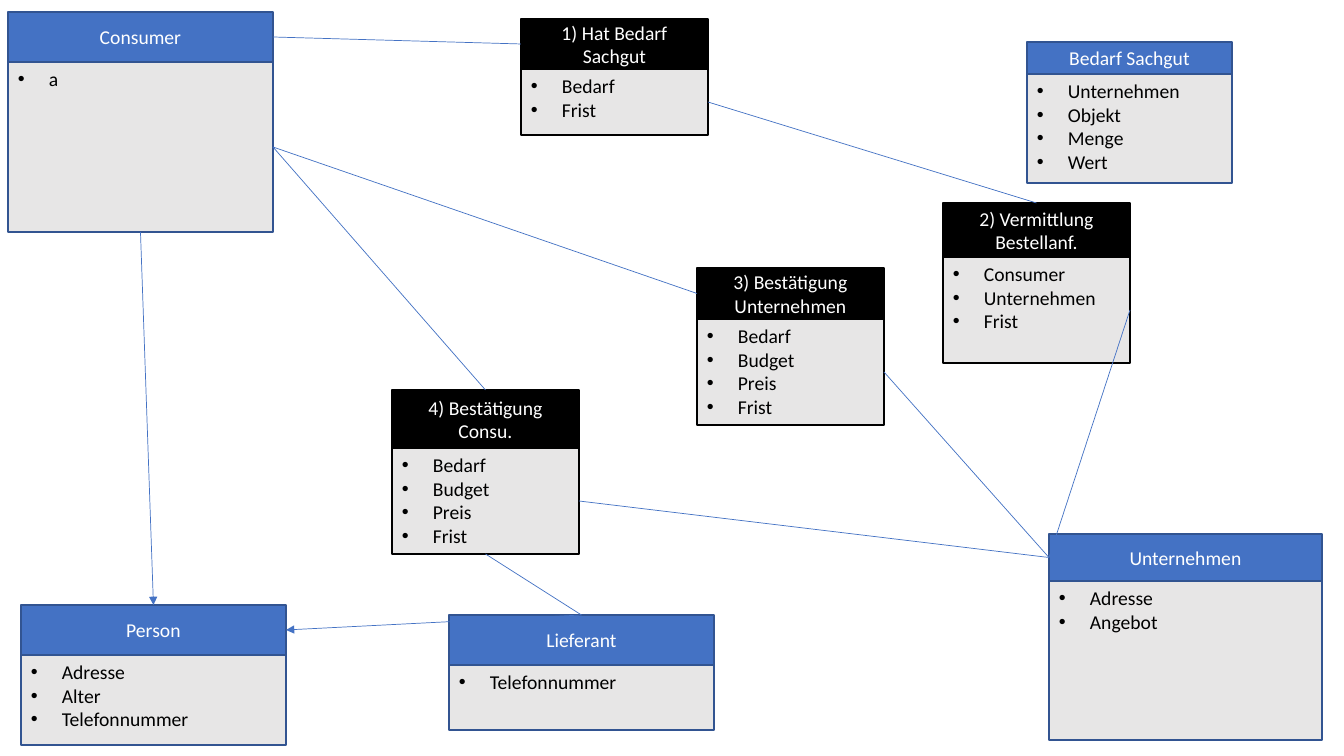
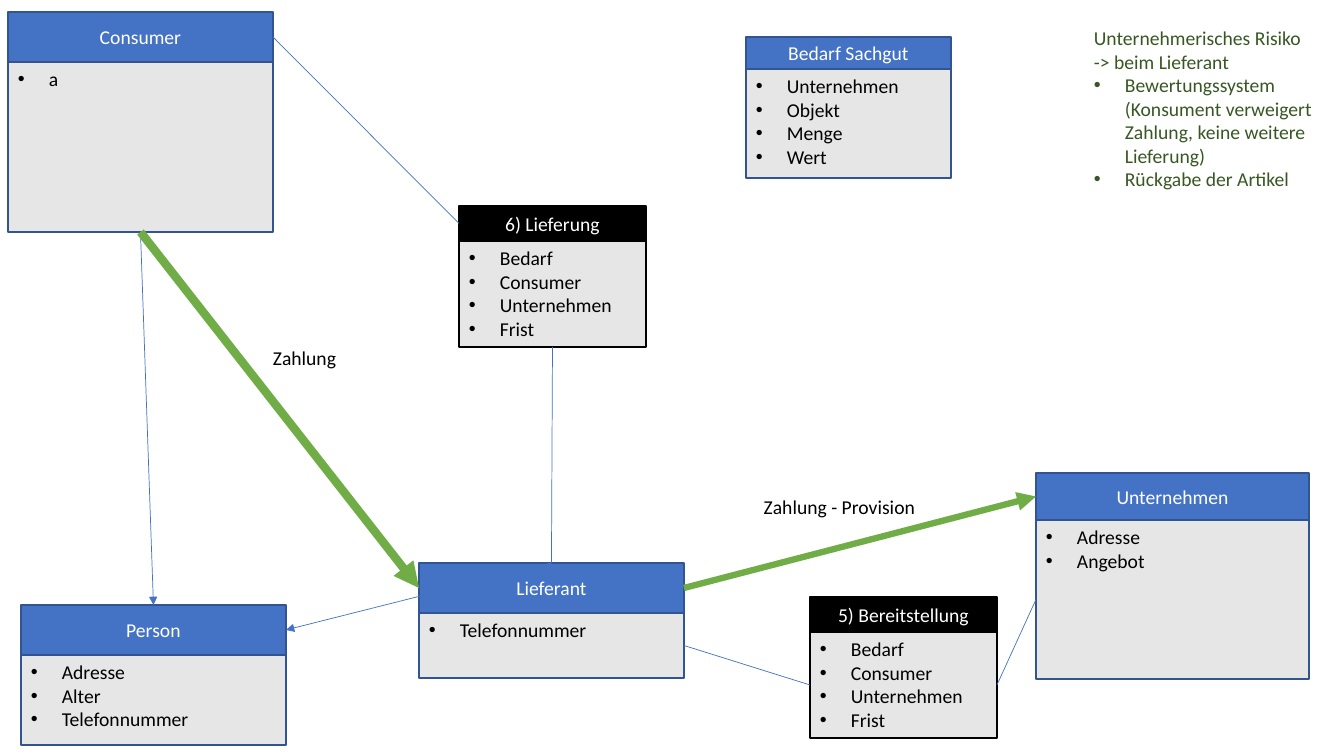
import dataclasses
import enum

import lxml.etree
import pptx
import pptx.dml.color
import pptx.enum.shapes
import pptx.enum.text
import pptx.oxml.ns
import pptx.presentation
import pptx.shapes.autoshape
import pptx.slide
import pptx.text.text
import pptx.util

# Shared style
RGB = pptx.dml.color.RGBColor
BLUE = RGB(0x44, 0x72, 0xC4)
DARK_BLUE = RGB(0x32, 0x54, 0x91)
GREY = RGB(0xE7, 0xE6, 0xE6)
GREEN = RGB(0x70, 0xAD, 0x47)
DARK_GREEN = RGB(0x38, 0x57, 0x23)
BLACK = RGB(0, 0, 0)
WHITE = RGB(0xFF, 0xFF, 0xFF)
FONT = "Calibri"
FONT_SIZE = pptx.util.Pt(14)
BULLET_INDENT = 31
EMU_PER_PIXEL = 914400 / 100.8

LEFT = pptx.enum.text.PP_ALIGN.LEFT
CENTER = pptx.enum.text.PP_ALIGN.CENTER
TOP = pptx.enum.text.MSO_ANCHOR.TOP
MIDDLE = pptx.enum.text.MSO_ANCHOR.MIDDLE
qn = pptx.oxml.ns.qn


class Side(enum.IntEnum):
    """Connection sites of a rectangle."""
    TOP = 0
    LEFT = 1
    BOTTOM = 2
    RIGHT = 3


class Section(enum.IntEnum):
    HEADER = 0
    BODY = 1


@dataclasses.dataclass(frozen=True)
class Card:
    name: str
    left: int
    top: int
    width: int
    header_height: int
    body_height: int
    items: tuple[str, ...]
    fill: RGB = BLUE
    outline: RGB = DARK_BLUE

    def moved(self, left: int, top: int) -> "Card":
        return dataclasses.replace(self, left=left, top=top)


@dataclasses.dataclass(frozen=True)
class Anchor:
    card: str
    section: Section
    side: Side


@dataclasses.dataclass(frozen=True)
class Link:
    start: Anchor
    end: Anchor
    arrow: bool = False
    color: RGB = BLUE
    width: float = 0.5


@dataclasses.dataclass(frozen=True)
class Label:
    lines: tuple[str, ...]
    left: int
    top: int
    width: int
    height: int
    color: RGB = BLACK
    align: pptx.enum.text.PP_ALIGN = CENTER
    anchor: pptx.enum.text.MSO_ANCHOR = MIDDLE
    first_bullet: int = 99


@dataclasses.dataclass(frozen=True)
class Diagram:
    cards: tuple[Card, ...]
    links: tuple[Link, ...]
    labels: tuple[Label, ...] = ()


CardSections = tuple[pptx.shapes.autoshape.Shape, pptx.shapes.autoshape.Shape]


def px(pixels: int) -> pptx.util.Emu:
    return pptx.util.Emu(round(pixels * EMU_PER_PIXEL))


def top_of(card: str) -> Anchor:
    return Anchor(card, Section.HEADER, Side.TOP)


def bottom_of(card: str) -> Anchor:
    return Anchor(card, Section.BODY, Side.BOTTOM)


def header_of(card: str, side: Side) -> Anchor:
    return Anchor(card, Section.HEADER, side)


def body_of(card: str, side: Side) -> Anchor:
    return Anchor(card, Section.BODY, side)


def step(name: str, left: int, top: int, header_height: int,
         items: tuple[str, ...], body_height: int = 106) -> Card:
    return Card(name, left, top, 187, header_height, body_height, items, BLACK, BLACK)


def add_bullet(paragraph: pptx.text.text._Paragraph) -> None:
    properties = paragraph._p.get_or_add_pPr()
    properties.set("marL", str(px(BULLET_INDENT)))
    properties.set("indent", str(-px(BULLET_INDENT)))
    lxml.etree.SubElement(properties, qn("a:buFont")).set("typeface", "Arial")
    lxml.etree.SubElement(properties, qn("a:buChar")).set("char", "•")


def write(frame: pptx.text.text.TextFrame, lines: tuple[str, ...], color: RGB,
          align: pptx.enum.text.PP_ALIGN, anchor: pptx.enum.text.MSO_ANCHOR,
          first_bullet: int = 99) -> None:
    frame.word_wrap = True
    frame.vertical_anchor = anchor
    frame.text = "\n".join(lines)
    for index, paragraph in enumerate(frame.paragraphs):
        paragraph.alignment = align
        if index >= first_bullet:
            add_bullet(paragraph)
        for run in paragraph.runs:
            run.font.name = FONT
            run.font.size = FONT_SIZE
            run.font.color.rgb = color


def draw_card(slide: pptx.slide.Slide, card: Card) -> CardSections:
    group = slide.shapes.add_group_shape()

    def add_section(top: int, height: int, fill: RGB) -> pptx.shapes.autoshape.Shape:
        section = group.shapes.add_shape(
            pptx.enum.shapes.MSO_SHAPE.RECTANGLE,
            px(card.left), px(top), px(card.width), px(height))
        section.shadow.inherit = False
        section.fill.solid()
        section.fill.fore_color.rgb = fill
        section.line.color.rgb = card.outline
        section.line.width = pptx.util.Pt(1)
        return section

    header = add_section(card.top, card.header_height, card.fill)
    write(header.text_frame, (card.name,), WHITE, CENTER, MIDDLE)
    body = add_section(card.top + card.header_height, card.body_height, GREY)
    write(body.text_frame, card.items, BLACK, LEFT, TOP, first_bullet=0)
    return header, body


def draw_link(slide: pptx.slide.Slide, link: Link,
              sections: dict[str, CardSections]) -> None:
    connector = slide.shapes.add_connector(
        pptx.enum.shapes.MSO_CONNECTOR.STRAIGHT, 0, 0, 0, 0)
    start, end = link.start, link.end
    connector.begin_connect(sections[start.card][start.section], int(start.side))
    connector.end_connect(sections[end.card][end.section], int(end.side))
    connector.line.color.rgb = link.color
    connector.line.width = pptx.util.Pt(link.width)
    properties = connector._element.spPr
    if link.arrow:
        outline = properties.find(qn("a:ln"))
        lxml.etree.SubElement(outline, qn("a:tailEnd")).set("type", "triangle")
    lxml.etree.SubElement(properties, qn("a:effectLst"))


def draw_label(slide: pptx.slide.Slide, label: Label) -> None:
    box = slide.shapes.add_textbox(
        px(label.left), px(label.top), px(label.width), px(label.height))
    write(box.text_frame, label.lines, label.color, label.align, label.anchor,
          label.first_bullet)


def draw_diagram(deck: pptx.presentation.Presentation, diagram: Diagram) -> None:
    slide = deck.slides.add_slide(deck.slide_layouts[6])
    sections = {card.name: draw_card(slide, card) for card in diagram.cards}
    for link in diagram.links:
        draw_link(slide, link, sections)
    for label in diagram.labels:
        draw_label(slide, label)


# Cards on both slides
PERSON = Card("Person", 21, 605, 265, 50, 90, ("Adresse", "Alter", "Telefonnummer"))
CONSUMER = Card("Consumer", 8, 12, 265, 50, 170, ("a",))
COMPANY = Card("Unternehmen", 1049, 534, 273, 47, 159, ("Adresse", "Angebot"))
SUPPLIER = Card("Lieferant", 449, 615, 265, 50, 65, ("Telefonnummer",))
DEMAND = Card("Bedarf Sachgut", 1027, 42, 205, 32, 109,
              ("Unternehmen", "Objekt", "Menge", "Wert"))

PERSON_LINKS = (
    Link(bottom_of("Consumer"), top_of("Person"), arrow=True),
    Link(top_of("Lieferant"), header_of("Person", Side.RIGHT), arrow=True),
)

# Steps of the order and of the delivery
CONFIRMED = ("Bedarf", "Budget", "Preis", "Frist")
DELIVERED = ("Bedarf", "Consumer", "Unternehmen", "Frist")
NEED = step("1) Hat Bedarf Sachgut", 521, 19, 50, ("Bedarf", "Frist"), 66)
BROKERING = step("2) Vermittlung Bestellanf.", 943, 203, 54,
                 ("Consumer", "Unternehmen", "Frist"))
COMPANY_OK = step("3) Bestätigung Unternehmen", 697, 268, 51, CONFIRMED)
CONSUMER_OK = step("4) Bestätigung Consu.", 392, 390, 58, CONFIRMED)
PROVISION = step("5) Bereitstellung", 810, 597, 35, DELIVERED)
DELIVERY = step("6) Lieferung", 459, 206, 35, DELIVERED)

COMPANY_ENTRY = header_of("Unternehmen", Side.LEFT)
CONSUMER_HEADER = header_of("Consumer", Side.RIGHT)
CONSUMER_BODY = body_of("Consumer", Side.RIGHT)

ORDER = Diagram(
    cards=(PERSON, COMPANY, SUPPLIER, CONSUMER, NEED, BROKERING, DEMAND,
           COMPANY_OK, CONSUMER_OK),
    links=PERSON_LINKS + (
        Link(CONSUMER_HEADER, header_of(NEED.name, Side.LEFT)),
        Link(body_of(NEED.name, Side.RIGHT), top_of(BROKERING.name)),
        Link(CONSUMER_BODY, header_of(COMPANY_OK.name, Side.LEFT)),
        Link(body_of(BROKERING.name, Side.RIGHT), COMPANY_ENTRY),
        Link(body_of(COMPANY_OK.name, Side.RIGHT), COMPANY_ENTRY),
        Link(CONSUMER_BODY, top_of(CONSUMER_OK.name)),
        Link(bottom_of(CONSUMER_OK.name), top_of("Lieferant")),
        Link(body_of(CONSUMER_OK.name, Side.RIGHT), COMPANY_ENTRY),
    ),
)

FULFILMENT = Diagram(
    cards=(PERSON, COMPANY.moved(1036, 473), SUPPLIER.moved(419, 563), CONSUMER,
           DELIVERY, PROVISION, DEMAND.moved(746, 37)),
    links=PERSON_LINKS + (
        Link(CONSUMER_HEADER, header_of(DELIVERY.name, Side.LEFT)),
        Link(bottom_of(DELIVERY.name), top_of("Lieferant")),
        Link(body_of(PROVISION.name, Side.RIGHT), body_of("Unternehmen", Side.LEFT)),
        Link(body_of("Lieferant", Side.RIGHT), body_of(PROVISION.name, Side.LEFT)),
        Link(header_of("Lieferant", Side.RIGHT), COMPANY_ENTRY, True, GREEN, 4.5),
        Link(bottom_of("Consumer"), header_of("Lieferant", Side.LEFT), True, GREEN, 6),
    ),
    labels=(
        Label(("Zahlung - Provision",), 746, 489, 187, 35),
        Label(("Zahlung",), 220, 334, 169, 47),
        Label(("Unternehmerisches Risiko", "-> beim Lieferant",
               "Bewertungssystem (Konsument verweigert Zahlung, keine weitere Lieferung)",
               "Rückgabe der Artikel"),
              1084, 21, 260, 220, DARK_GREEN, LEFT, TOP, first_bullet=2),
    ),
)

# Build the deck
deck = pptx.Presentation()
deck.slide_width = px(1344)
deck.slide_height = px(756)
for diagram in (ORDER, FULFILMENT):
    draw_diagram(deck, diagram)
deck.save("out.pptx")
